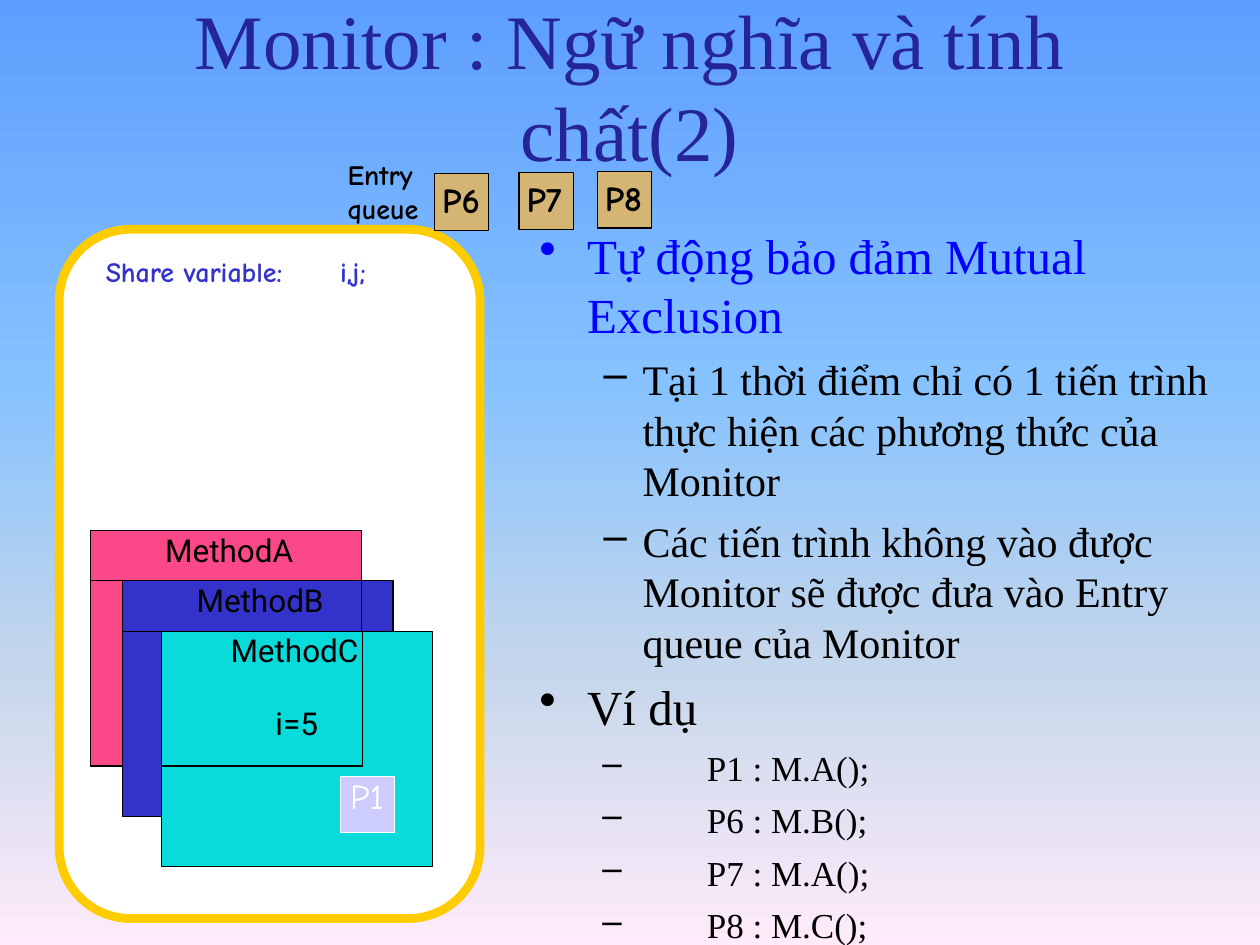
import pptx
import pptx.dml.color
import pptx.enum.shapes
import pptx.enum.text
import pptx.oxml
import pptx.oxml.ns
import pptx.util

Pt = pptx.util.Pt
Inches = pptx.util.Inches
ALIGN = pptx.enum.text.PP_ALIGN
SHAPE = pptx.enum.shapes.MSO_SHAPE
SERIF, SANS, HAND = "Times New Roman", "Roboto", "Comic Neue"

deck = pptx.Presentation()
deck.slide_width, deck.slide_height = Inches(10), Inches(7.5)
column, row = deck.slide_width / 100, deck.slide_height / 75
page = deck.slides.add_slide(deck.slide_layouts[6])


def add_box(left, top, width, height, fill=None, line=None, weight=0.72, shape=SHAPE.RECTANGLE):
    """Place a box in grid units; without fill and line it is a text box."""
    place = [round(left * column), round(top * row), round(width * column), round(height * row)]
    if fill or line:
        box = page.shapes.add_shape(shape, *place)
        box.shadow.inherit = False
        for paint, color in ((box.fill, fill), (box.line.fill, line)):
            if color:
                paint.solid()
                paint.fore_color.rgb = pptx.dml.color.RGBColor.from_string(color)
            else:
                paint.background()
        if line:
            box.line.width = Pt(weight)
    else:
        box = page.shapes.add_textbox(*place)
    frame = box.text_frame
    frame.word_wrap = True
    frame.margin_left = frame.margin_right = frame.margin_bottom = 0
    frame.margin_top = round(0.1 * row)
    frame.vertical_anchor = pptx.enum.text.MSO_ANCHOR.TOP
    return box


def write(box, text, size=18, font=SANS, color="000000", bold=False, align=ALIGN.LEFT,
          before=0, leading=None, margin=0, hanging=0, bullet=None):
    """Add a paragraph to the box, with margin and hanging in grid columns."""
    frame = box.text_frame
    para = frame.add_paragraph() if frame.text else frame.paragraphs[0]
    para.alignment, para.space_before = align, Pt(before)
    if leading:
        para.line_spacing = Pt(leading)
    properties = para._p.get_or_add_pPr()
    properties.set("marL", str(round(margin * column)))
    properties.set("indent", str(round(-hanging * column)))
    if bullet:
        mark = pptx.oxml.parse_xml(f'<a:buChar {pptx.oxml.ns.nsdecls("a")} char="{bullet}"/>')
        properties.append(mark)
    span = para.add_run()
    span.text = text
    span.font.size, span.font.name, span.font.bold = Pt(size), font, bold
    span.font.color.rgb = pptx.dml.color.RGBColor.from_string(color)


# Sky gradient, top to bottom
background = page.background.fill
background.gradient()
background.gradient_angle = 270
stops = page._element.find(".//" + pptx.oxml.ns.qn("a:gsLst"))
for stop in list(stops):
    stops.remove(stop)
for percent, color in ((0, "5E9EFF"), (40, "85C2FF"), (70, "C4D6EB"), (100, "FFEBFA")):
    stops.append(pptx.oxml.parse_xml(
        f'<a:gs {pptx.oxml.ns.nsdecls("a")} pos="{percent * 1000}"><a:srgbClr val="{color}"/></a:gs>'))

title = add_box(7.3, 3.2, 85.3, 6.9)
title.text_frame.vertical_anchor = pptx.enum.text.MSO_ANCHOR.MIDDLE
write(title, "Monitor : Ngữ nghĩa và tính chất(2)", size=44, font=SERIF, color="252599",
      align=ALIGN.CENTER, before=0.9, margin=0.1)

# Explanation
body = add_box(42.7, 17.8, 53.3, 57.4)
topic = dict(size=28, font=SERIF, margin=3.9, hanging=3.8, bullet="•")
detail = dict(size=24, font=SERIF, margin=8.3, hanging=3.1, bullet="–", before=6)
call = dict(size=20, font=SERIF, margin=13.4, hanging=8.3, bullet="–", before=6)
write(body, "Tự động bảo đảm Mutual Exclusion", color="0000FF", before=0.9, **topic)
write(body, "Tại 1 thời điểm chỉ có 1 tiến trình thực hiện các phương thức của Monitor", **detail)
write(body, "Các tiến trình không vào được Monitor sẽ được đưa vào Entry queue của Monitor", **detail)
write(body, "Ví dụ", before=5.8, **topic)
for text in ("P1 : M.A();", "P6 : M.B();", "P7 : M.A();", "P8 : M.C();"):
    write(body, text, **call)

# Monitor with its overlapping methods
monitor = add_box(4.7, 18.2, 33.4, 54.7, fill="FFFFFF", line="FFCC00", weight=5,
                  shape=SHAPE.ROUNDED_RECTANGLE)
monitor.adjustments[0] = 0.17
methods = (
    ("MethodA", 7.2, 42.1, "FA4888", 21.5, 4, 5.9),
    ("MethodB", 9.7, 46.1, "3333CC", 19, 4, 5.9),
    ("MethodC", 12.8, 50.1, "09DADA", 16, 10.7, 5.5),
)
for name, left, top, color, label_width, label_height, margin in methods:
    add_box(left, top, 21.5, 18.7, fill=color, line="000000")
    label = add_box(left, top, label_width, label_height, fill=color, line="000000")
    write(label, name, margin=margin, leading=21)
write(label, "i=5", before=20, margin=5.5, align=ALIGN.CENTER)

# Processes: one running inside, three waiting in the entry queue
processes = (
    ("P1", 27, 61.6, "CCCCFF", "FFFFFF", "FFFFFF", False),
    ("P8", 47.4, 13.6, "D5B574", "000000", "000000", True),
    ("P7", 41.2, 13.7, "D5B574", "000000", "000000", True),
    ("P6", 34.5, 13.8, "D5B574", "000000", "000000", True),
)
for name, left, top, fill, line, color, bold in processes:
    process = add_box(left, top, 4.3, 4.5, fill=fill, line=line)
    process.text_frame.margin_top = round(0.4 * row)
    write(process, name, size=20, font=HAND, color=color, bold=bold, margin=0.6 if bold else 0.8,
          before=3, leading=None if bold else 20)

note = dict(size=16, font=HAND, bold=True)
write(add_box(8.3, 20.1, 17, 2.9), "Share variable:", color="3333CC", before=0.9, margin=0.1, **note)
queue = add_box(26.9, 12.4, 6.7, 10.7)
write(queue, "Entry queue", before=0.9, margin=0.7, **note)
write(queue, "i,j;", color="3333CC", before=17.2, margin=0.1, **note)

deck.save("out.pptx")
